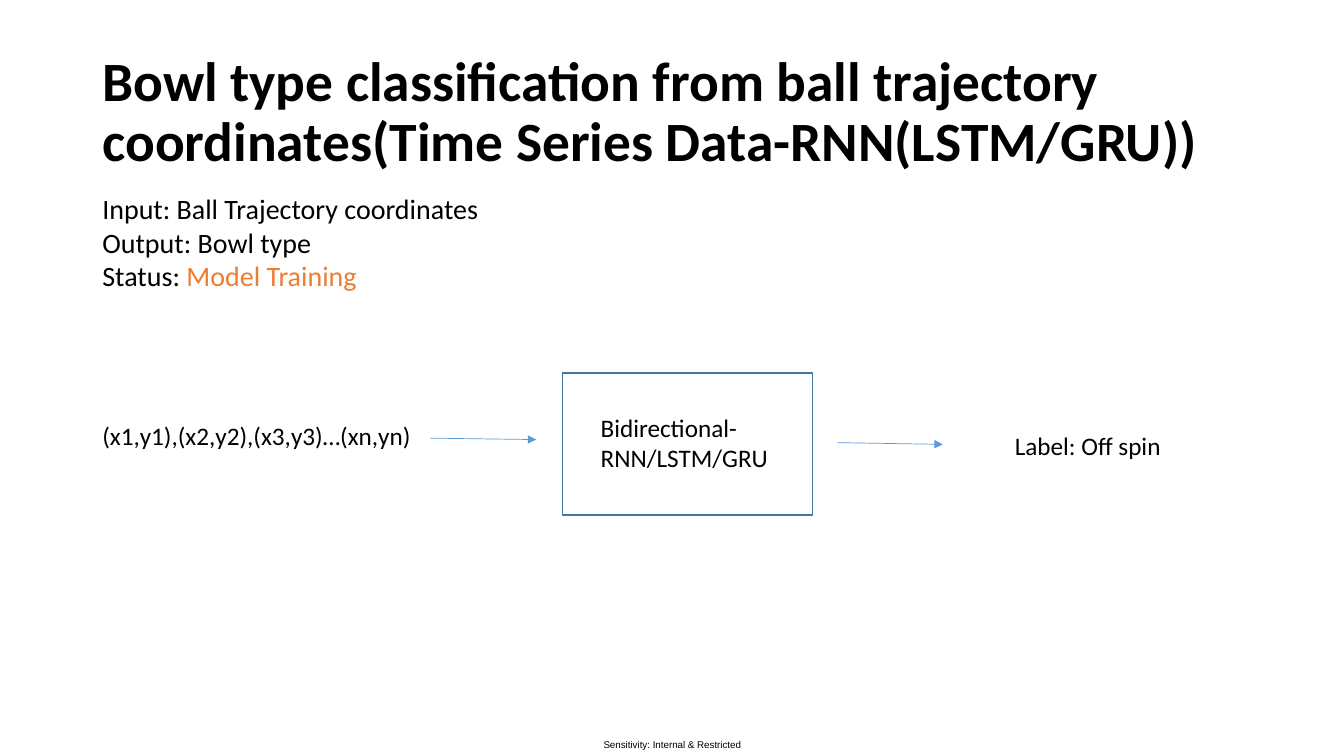
from lxml.etree import SubElement
from pptx import Presentation
from pptx.dml.color import RGBColor
from pptx.enum.shapes import MSO_CONNECTOR as Connector, MSO_SHAPE as Shape
from pptx.enum.text import MSO_ANCHOR as Anchor, PP_ALIGN as Align
from pptx.oxml.ns import qn
from pptx.util import Pt

TITLE = "Bowl type classification from ball trajectory coordinates(Time Series Data-RNN(LSTM/GRU))"
BLACK, ORANGE, BLUE, DARK_BLUE = "000000", "ED7D31", "5B9BD5", "43739E"

# Each paragraph is a list of (text, colour) spans; boxes are left, top, width, height.
SUMMARY = [
    [("Input: Ball Trajectory coordinates", BLACK)],
    [("Output: Bowl type", BLACK)],
    [("Status: ", BLACK), ("Model Training", ORANGE)],
]
SUMMARY_BOX = (66, 133.2, 817.2, 80)
FLOW_LABELS = [
    ("(x1,y1),(x2,y2),(x3,y3)…(xn,yn)", (66, 296.6, 237.6, 29)),
    ("Bidirectional-RNN/LSTM/GRU", (422, 290.9, 154, 51)),
    ("Label: Off spin", (717.8, 303.8, 195, 29)),
]
MODEL_BOX = (401.8, 266.4, 178.6, 101.5)
ARROWS = [(307.4, 313, 383, 314), (598.3, 316.2, 673.4, 317.4)]
FOOTER = "Sensitivity: Internal & Restricted"
FOOTER_BOX = (421.2, 524.2, 118, 15.8)


def color(code):
    return RGBColor.from_string(code)


def points(values):
    return [Pt(value) for value in values]


def add_text(page, place, paragraphs, size, font="Calibri"):
    box = page.shapes.add_textbox(*points(place))
    frame = box.text_frame
    frame.word_wrap = True
    for index, spans in enumerate(paragraphs):
        para = frame.paragraphs[0] if index == 0 else frame.add_paragraph()
        para.font.size, para.font.name = Pt(size), font
        for text, code in spans:
            span = para.add_run()
            span.text = text
            span.font.color.rgb = color(code)
    return frame


def add_title(page):
    title = page.shapes.title
    title.left, title.top, title.width, title.height = points((66, 28.8, 828, 104.4))
    title.text = TITLE
    title.text_frame.word_wrap = True
    title.text_frame.vertical_anchor = Anchor.MIDDLE
    para = title.text_frame.paragraphs[0]
    para.alignment, para.line_spacing = Align.LEFT, 0.9
    para.font.name, para.font.size, para.font.bold = "Calibri", Pt(39.6), True
    para.font.color.rgb = color(BLACK)


def add_arrow(page, ends):
    arrow = page.shapes.add_connector(Connector.STRAIGHT, *points(ends))
    arrow.line.color.rgb = color(BLUE)
    arrow.line.width = Pt(0.5)
    SubElement(arrow.line._get_or_add_ln(), qn("a:tailEnd"), type="triangle")
    SubElement(arrow._element.spPr, qn("a:effectLst"))


def add_model_box(page):
    box = page.shapes.add_shape(Shape.RECTANGLE, *points(MODEL_BOX))
    box.shadow.inherit = False
    box.fill.background()
    box.line.color.rgb = color(DARK_BLUE)
    box.line.width = Pt(1)


def add_footer(page):
    frame = add_text(page, FOOTER_BOX, [[(FOOTER, BLACK)]], 7, "Arial")
    frame.margin_left = frame.margin_right = frame.margin_top = frame.margin_bottom = 0
    frame.vertical_anchor = Anchor.MIDDLE
    frame.paragraphs[0].alignment = Align.CENTER


def main():
    deck = Presentation()
    deck.slide_width, deck.slide_height = Pt(960), Pt(540)
    page = deck.slides.add_slide(deck.slide_layouts[5])
    add_title(page)
    add_text(page, SUMMARY_BOX, SUMMARY, 20)
    add_model_box(page)
    for label, place in FLOW_LABELS:
        add_text(page, place, [[(label, BLACK)]], 18)
    for ends in ARROWS:
        add_arrow(page, ends)
    add_footer(page)
    deck.save("out.pptx")


if __name__ == "__main__":
    main()
